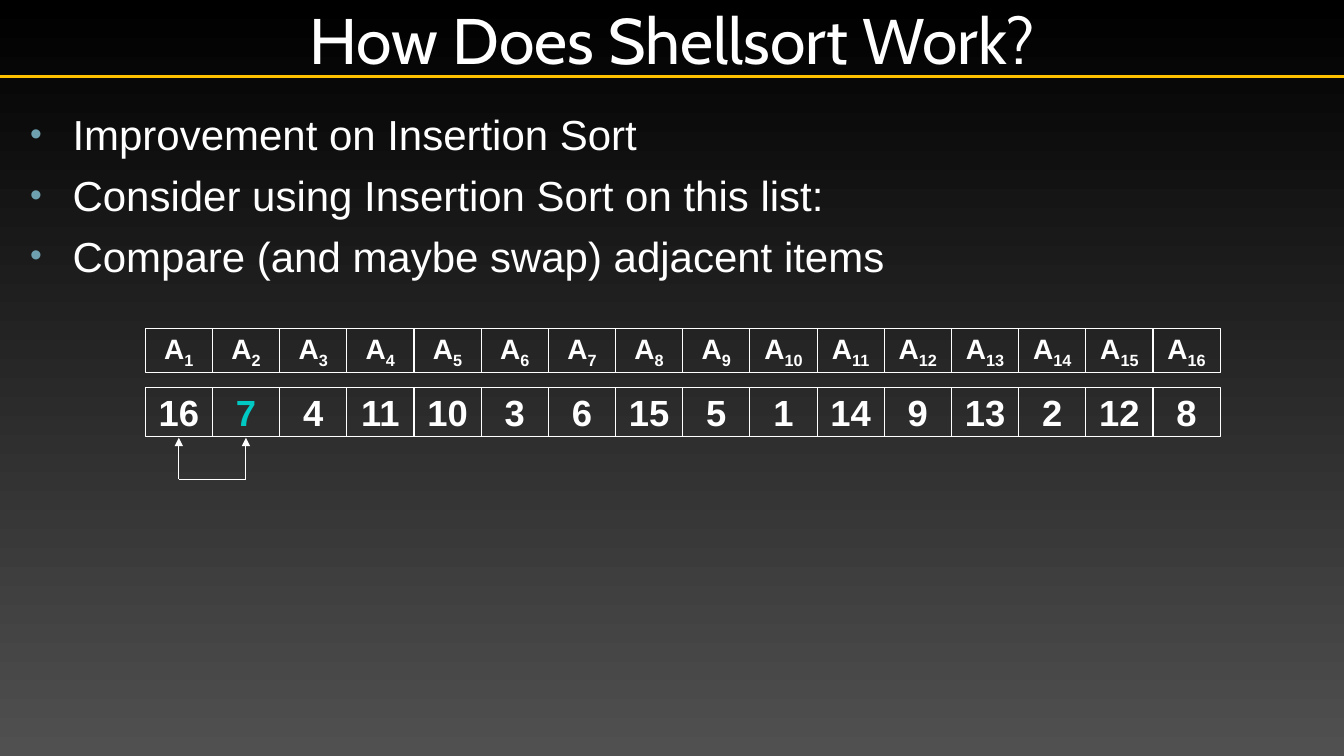
from lxml import etree
from pptx import Presentation
from pptx import util as u
from pptx.dml.color import RGBColor
from pptx.enum import shapes, text
from pptx.oxml import ns

COLORS = {
    "white": "FFFFFF",
    "rule": "FFC000",
    "bullet": "6EA0B0",
    "compared": "00C8C3",
    "background_top": "000000",
    "background_bottom": "505050",
}
BULLETS = [
    "Improvement on Insertion Sort",
    "Consider using Insertion Sort on this list:",
    "Compare (and maybe swap) adjacent items",
]
VALUES = [16, 7, 4, 11, 10, 3, 6, 15, 5, 1, 14, 9, 13, 2, 12, 8]
COMPARED_PAIR = (0, 1)


def rgb(name):
    return RGBColor.from_string(COLORS[name])


def set_format(target, formats):
    for name, value in formats.items():
        setattr(target, name, value)


def add_run(paragraph, words, size, color="white", font="Arial", bold=False):
    run = paragraph.add_run()
    run.text = words
    set_format(run.font, {"size": u.Pt(size), "name": font, "bold": bold})
    run.font.color.rgb = rgb(color)
    return run


def set_frame(frame, side, vertical, anchor):
    set_format(frame, {
        "margin_left": u.Cm(side), "margin_right": u.Cm(side),
        "margin_top": u.Cm(vertical), "margin_bottom": u.Cm(vertical),
        "vertical_anchor": anchor, "word_wrap": True,
        "auto_size": text.MSO_AUTO_SIZE.NONE,
    })


def place(shape, box):
    set_format(shape, dict(zip(("left", "top", "width", "height"), map(u.Cm, box))))


def add_line(slide, start, end, color, width, arrow=False):
    line = slide.shapes.add_connector(
        shapes.MSO_CONNECTOR.STRAIGHT, *map(u.Cm, (*start, *end)))
    line.line.color.rgb = rgb(color)
    line.line.width = u.Pt(width)
    if arrow:
        etree.SubElement(line.line._get_or_add_ln(), ns.qn("a:tailEnd"), type="triangle")
    etree.SubElement(line._element.spPr, ns.qn("a:effectLst"))


def paint_background(slide):
    fill = slide.background.fill
    fill.gradient()
    fill.gradient_angle = 270
    for stop, name in zip(fill.gradient_stops, ("background_top", "background_bottom")):
        stop.color.rgb = rgb(name)


def build_title(slide, box):
    left, top, width, height = box
    add_line(slide, (left, top + height), (left + width, top + height), "rule", 2.5)
    title = slide.shapes.title
    place(title, box)
    set_frame(title.text_frame, 0.13, 0.13, text.MSO_ANCHOR.MIDDLE)
    paragraph = title.text_frame.paragraphs[0]
    paragraph.alignment = text.PP_ALIGN.CENTER
    add_run(paragraph, "How Does Shellsort Work?", 46, font="Cabin")


def build_bullets(slide, box):
    frame = slide.shapes.add_textbox(*map(u.Cm, box)).text_frame
    set_frame(frame, 0.25, 0.13, text.MSO_ANCHOR.TOP)
    for index, words in enumerate(BULLETS):
        paragraph = frame.paragraphs[0] if index == 0 else frame.add_paragraph()
        paragraph.space_before = u.Pt(7.5 if index else 0)
        properties = paragraph._p.get_or_add_pPr()
        properties.set("marL", str(u.Cm(1.17)))
        properties.set("indent", str(u.Cm(-1.07)))
        bullet_color = etree.SubElement(properties, ns.qn("a:buClr"))
        etree.SubElement(bullet_color, ns.qn("a:srgbClr"), val=COLORS["bullet"])
        etree.SubElement(properties, ns.qn("a:buSzPct"), val="80000")
        etree.SubElement(properties, ns.qn("a:buFont"), typeface="Arial")
        etree.SubElement(properties, ns.qn("a:buChar"), char="•")
        add_run(paragraph, words, 30)


def add_cell(slide, box):
    cell = slide.shapes.add_shape(shapes.MSO_SHAPE.RECTANGLE, *map(u.Cm, box))
    cell.shadow.inherit = False
    cell.fill.background()
    cell.line.color.rgb = rgb("white")
    cell.line.width = u.Pt(0.75)
    set_frame(cell.text_frame, 0, 0.05, text.MSO_ANCHOR.MIDDLE)
    paragraph = cell.text_frame.paragraphs[0]
    paragraph.alignment = text.PP_ALIGN.CENTER
    return paragraph


def build_list(slide, box):
    left, top, width, height = box
    cell_width = width / len(VALUES)
    label_height, value_height = 1.12, 1.24
    value_top = top + 1.48
    lefts = [left + index * cell_width for index in range(len(VALUES))]

    for number, cell_left in enumerate(lefts, 1):
        label = add_cell(slide, (cell_left, top, cell_width, label_height))
        add_run(label, "A", 20, bold=True)
        subscript = add_run(label, str(number), 20, bold=True)
        subscript.font._element.set("baseline", "-25000")

    for cell_left, value in zip(lefts, VALUES):
        paragraph = add_cell(slide, (cell_left, value_top, cell_width, value_height))
        color = "compared" if value == VALUES[COMPARED_PAIR[1]] else "white"
        add_run(paragraph, str(value), 26, color, bold=True)

    bottom = top + height
    arrow_tip = value_top + value_height + 0.03
    centers = [lefts[index] + cell_width / 2 for index in COMPARED_PAIR]
    for center in centers:
        add_line(slide, (center, bottom), (center, arrow_tip), "white", 0.75, arrow=True)
    add_line(slide, (centers[0], bottom), (centers[1], bottom), "white", 0.75)


def build_slide(presentation):
    slide = presentation.slides.add_slide(presentation.slide_layouts[5])
    paint_background(slide)
    build_title(slide, (0, 0, 33.87, 1.93))
    build_bullets(slide, (0.41, 2.6, 31.78, 15.5))
    build_list(slide, (3.66, 8.28, 27.09, 3.8))


presentation = Presentation()
set_format(presentation, {"slide_width": u.Cm(33.87), "slide_height": u.Cm(19.05)})
build_slide(presentation)
presentation.save("out.pptx")
